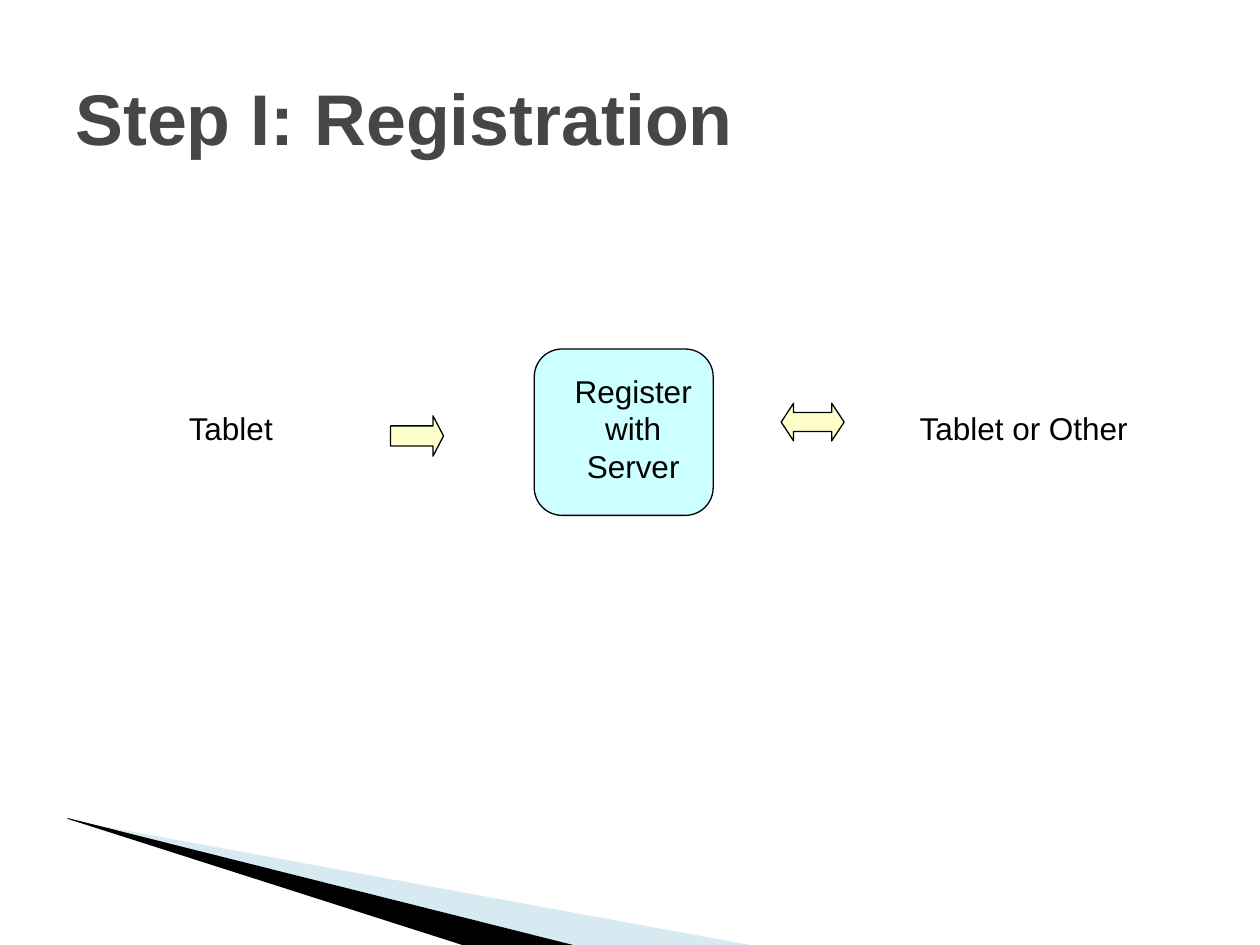
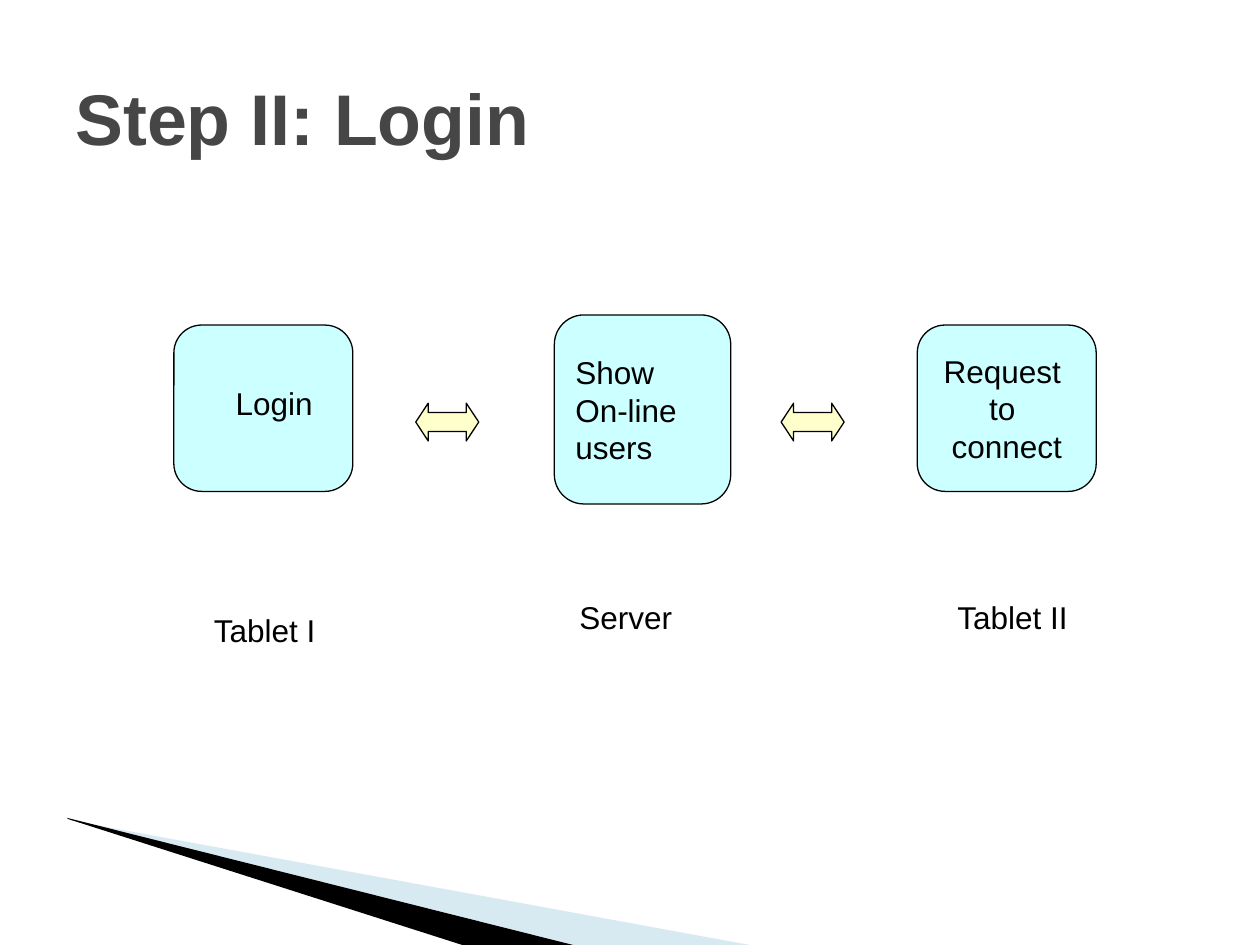
import pptx
import pptx.util
from pptx.dml.color import RGBColor
from pptx.enum.shapes import MSO_SHAPE
from pptx.enum.text import MSO_ANCHOR, PP_ALIGN
from lxml import etree

COLS, ROWS = 100, 75  # grid cells across and down
CELL = pptx.util.Inches(0.1)
FONT = "Arial"
HUES = {"title": "464646", "text": "000000", "line": "000000", "box": "CCFFFF",
        "arrow": "FFFFCC", "pale": "9FCBDC", "dark": "000000"}

# Shared places, in grid cells: left, top, width, height
TITLE = (5, 1.9, 89.8, 14.7)
BOX = (14.2, 13.2)
SWAP_ROW, SWAP = 32, (5, 3)
LABEL_H = 4

# Corner wedges: hue, opacity in percent, outline
WEDGES = [
    ("pale", 40, [(5.5, 65.1), (59.5, 75), (45.6, 75), (5.5, 65)]),
    ("dark", 100, [(5.3, 64.9), (45.5, 75), (36.7, 75), (5.4, 65)]),
]

# Boxes: place, lines inside, alignment
# Swaps: left column of each two-way arrow
# Labels: left, top, width, height, words, alignment
SLIDES = [
    {
        "title": "Step I: Registration",
        "boxes": [((42.4, 27.7, *BOX), [], "mid")],
        "steps": [(31, 33, 4.2, 3.2)],
        "swaps": [62],
        "labels": [
            (44, 29, 12.5, 10, "Register with Server", "mid"),
            (14, 32, 11, LABEL_H, "Tablet", "left"),
            (72, 32, 23, LABEL_H, "Tablet or Other", "left"),
        ],
    },
    {
        "title": "Step II: Login",
        "boxes": [
            ((13.8, 25.8, *BOX), [], "mid"),
            ((44, 25, 14, 15), ["Show", "On-line", "users"], "left"),
            ((72.8, 25.8, *BOX), ["Request ", "to ", "connect"], "mid"),
        ],
        "steps": [],
        "swaps": [33, 62],
        "labels": [
            (15.5, 30, 12.5, LABEL_H, "Login", "mid"),
            (16, 48, 11, LABEL_H, "Tablet I", "left"),
            (45, 47, 23, LABEL_H, "Server", "left"),
            (75, 47, 11, LABEL_H, "Tablet II", "left"),
        ],
    },
]
ALIGNS = {"left": PP_ALIGN.LEFT, "mid": PP_ALIGN.CENTER}


def grid(cells):
    return [round(cell * CELL) for cell in cells]


def hue(name):
    return RGBColor.from_string(HUES[name])


def write(frame, lines, align="left", size=18, color="text", bold=False,
          anchor=MSO_ANCHOR.TOP):
    frame.word_wrap = True
    frame.vertical_anchor = anchor
    for i, line in enumerate(lines):
        para = frame.paragraphs[0] if i == 0 else frame.add_paragraph()
        para.alignment = ALIGNS[align]
        run = para.add_run()
        run.text = line
        run.font.name = FONT
        run.font.size = pptx.util.Pt(size)
        run.font.bold = bold
        run.font.color.rgb = hue(color)


def add_text(slide, place, words, **style):
    write(slide.shapes.add_textbox(*grid(place)).text_frame, [words], **style)


def add_form(slide, kind, place, fill, adjust):
    form = slide.shapes.add_shape(kind, *grid(place))
    form.shadow.inherit = False
    form.fill.solid()
    form.fill.fore_color.rgb = hue(fill)
    form.line.color.rgb = hue("line")
    form.line.width = pptx.util.Pt(0.75)
    for i, value in enumerate(adjust):
        form.adjustments[i] = value
    return form


def add_wedge(slide, color, alpha, points):
    first, *rest = [grid(point) for point in points]
    maker = slide.shapes.build_freeform(*first)
    maker.add_line_segments(rest, close=True)
    wedge = maker.convert_to_shape()
    wedge.shadow.inherit = False
    wedge.line.fill.background()
    wedge.fill.solid()
    wedge.fill.fore_color.rgb = hue(color)
    if alpha < 100:
        tint = wedge.fill._xPr.find(".//" + pptx.oxml.ns.qn("a:srgbClr"))
        etree.SubElement(tint, pptx.oxml.ns.qn("a:alpha"), val=str(alpha * 1000))


def build(deck, data):
    slide = deck.slides.add_slide(deck.slide_layouts[6])
    # Corner band and title
    for wedge in WEDGES:
        add_wedge(slide, *wedge)
    add_text(slide, TITLE, data["title"], size=41, color="title", bold=True,
             anchor=MSO_ANCHOR.MIDDLE)
    # Boxes
    for place, lines, align in data["boxes"]:
        box = add_form(slide, MSO_SHAPE.ROUNDED_RECTANGLE, place, "box", [0.167])
        write(box.text_frame, lines, align, anchor=MSO_ANCHOR.MIDDLE)
    # Arrows
    for place in data["steps"]:
        add_form(slide, MSO_SHAPE.RIGHT_ARROW, place, "arrow", [0.5, 0.26])
    for left in data["swaps"]:
        add_form(slide, MSO_SHAPE.LEFT_RIGHT_ARROW, (left, SWAP_ROW, *SWAP),
                 "arrow", [0.5, 0.33])
    # Labels
    for *place, words, align in data["labels"]:
        add_text(slide, place, words, align=align)


def main():
    deck = pptx.Presentation()
    deck.slide_width, deck.slide_height = grid((COLS, ROWS))
    for data in SLIDES:
        build(deck, data)
    deck.save("out.pptx")


if __name__ == "__main__":
    main()
